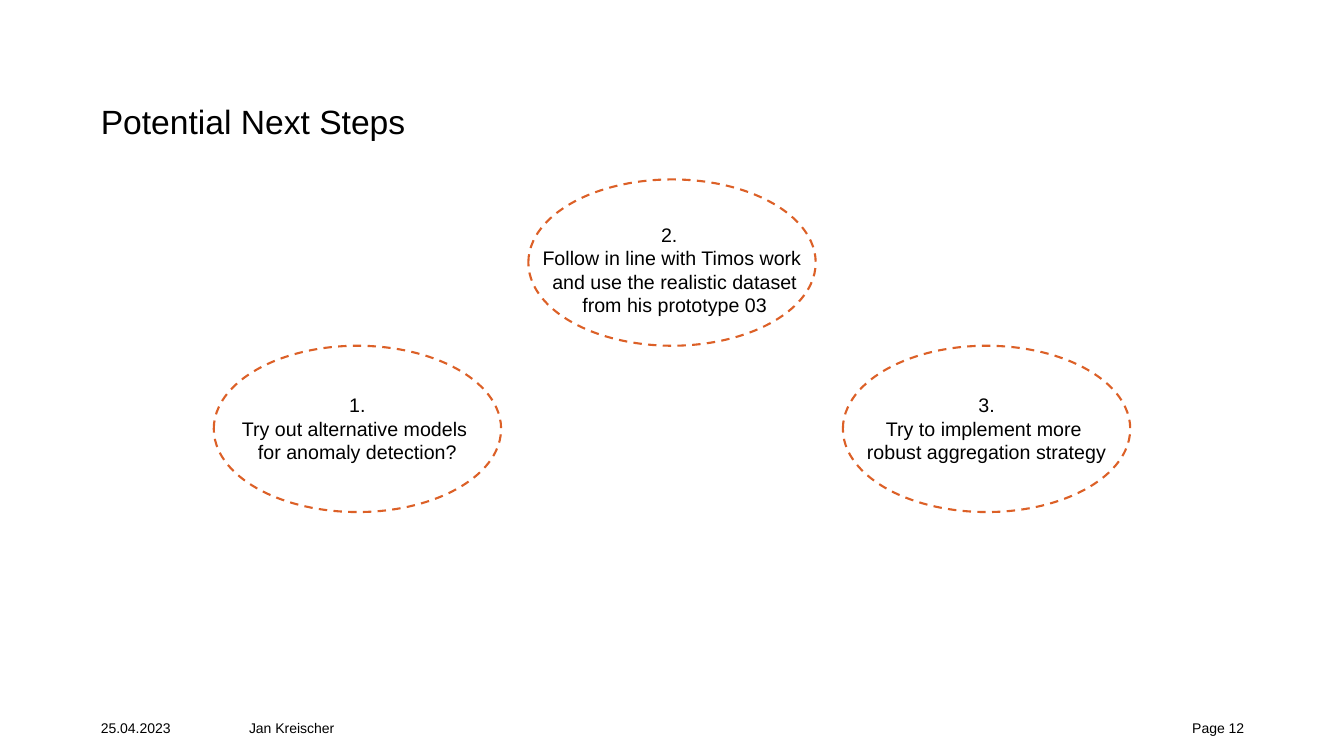
from dataclasses import dataclass

from pptx import Presentation
from pptx import util as u
from pptx.dml.color import RGBColor
from pptx.enum import dml, shapes, text


@dataclass(frozen=True)
class Theme:
    font: str = "Arial"
    ink: RGBColor = RGBColor(0x00, 0x00, 0x00)
    paper: RGBColor = RGBColor(0xFF, 0xFF, 0xFF)
    accent: RGBColor = RGBColor(0xDC, 0x60, 0x27)
    title: int = 24
    idea: int = 14
    footer: int = 10


class StepsSlide:
    """Draws the parts of a slide in one theme."""

    def __init__(self, slide, theme):
        self.slide = slide
        self.theme = theme

    def words(self, lines, box, size, align=text.PP_ALIGN.LEFT,
              insets=(0, 0, 0, 0), parent=None, **spacing):
        parent = parent or self.slide.shapes
        frame = parent.add_textbox(*map(u.Inches, box)).text_frame
        sides = ("margin_left", "margin_top", "margin_right", "margin_bottom")
        formats = dict(zip(sides, map(u.Inches, insets)))
        formats |= {"word_wrap": True, "vertical_anchor": text.MSO_ANCHOR.TOP}
        for key, value in formats.items():
            setattr(frame, key, value)
        for index, line in enumerate(lines):
            paragraph = frame.add_paragraph() if index else frame.paragraphs[0]
            for key, value in {"alignment": align, **spacing}.items():
                setattr(paragraph, key, value)
            run = paragraph.add_run()
            run.text = line
            run.font.color.rgb = self.theme.ink
            for key, value in {"name": self.theme.font, "size": u.Pt(size)}.items():
                setattr(run.font, key, value)

    def idea(self, left, top, lines, caption_top, caption_width, caption_height):
        width, height = 2.85, 1.65
        group = self.slide.shapes.add_group_shape().shapes
        oval = group.add_shape(shapes.MSO_SHAPE.OVAL,
                               *map(u.Inches, (left, top, width, height)))
        oval.shadow.inherit = False
        oval.fill.solid()
        oval.fill.fore_color.rgb = self.theme.paper
        oval.line.color.rgb = self.theme.accent
        outline = {"width": u.Pt(1.5), "dash_style": dml.MSO_LINE.DASH}
        for key, value in outline.items():
            setattr(oval.line, key, value)
        caption_left = left + (width - caption_width) / 2
        self.words(lines, (caption_left, caption_top, caption_width, caption_height),
                   self.theme.idea, text.PP_ALIGN.CENTER, (0.1,) * 4, group)


def main():
    deck = Presentation()
    deck.slide_width, deck.slide_height = u.Inches(13.33), u.Inches(7.5)
    theme = Theme()
    steps = StepsSlide(deck.slides.add_slide(deck.slide_layouts[6]), theme)

    steps.words(["Potential Next Steps"], (1, 0.9, 11.34, 0.67), theme.title,
                insets=(0, 0.04, 0, 0), line_spacing=1.15, space_before=u.Pt(12))

    footer = [
        ("25.04.2023", 1, 1.36, text.PP_ALIGN.LEFT),
        ("Jan Kreischer", 2.47, 7.66, text.PP_ALIGN.LEFT),
        ("Page 12", 11.43, 0.91, text.PP_ALIGN.RIGHT),
    ]
    for entry, left, width, align in footer:
        steps.words([entry], (left, 7.14, width, 0.24), theme.footer, align)

    ideas = [
        (3.43, ["1.", "Try out alternative models ", "for anomaly detection?"],
         3.8, 2.53, 0.91),
        (1.78, ["2. ", "Follow in line with Timos work",
                " and use the realistic dataset", " from his prototype 03"],
         2.11, 3.06, 1.14),
        (3.43, ["3.", "Try to implement more ", "robust aggregation strategy"],
         3.8, 2.68, 0.91),
    ]
    for column, (top, lines, *caption) in enumerate(ideas):
        steps.idea(2.12 + 3.12 * column, top, lines, *caption)

    deck.save("out.pptx")


if __name__ == "__main__":
    main()
